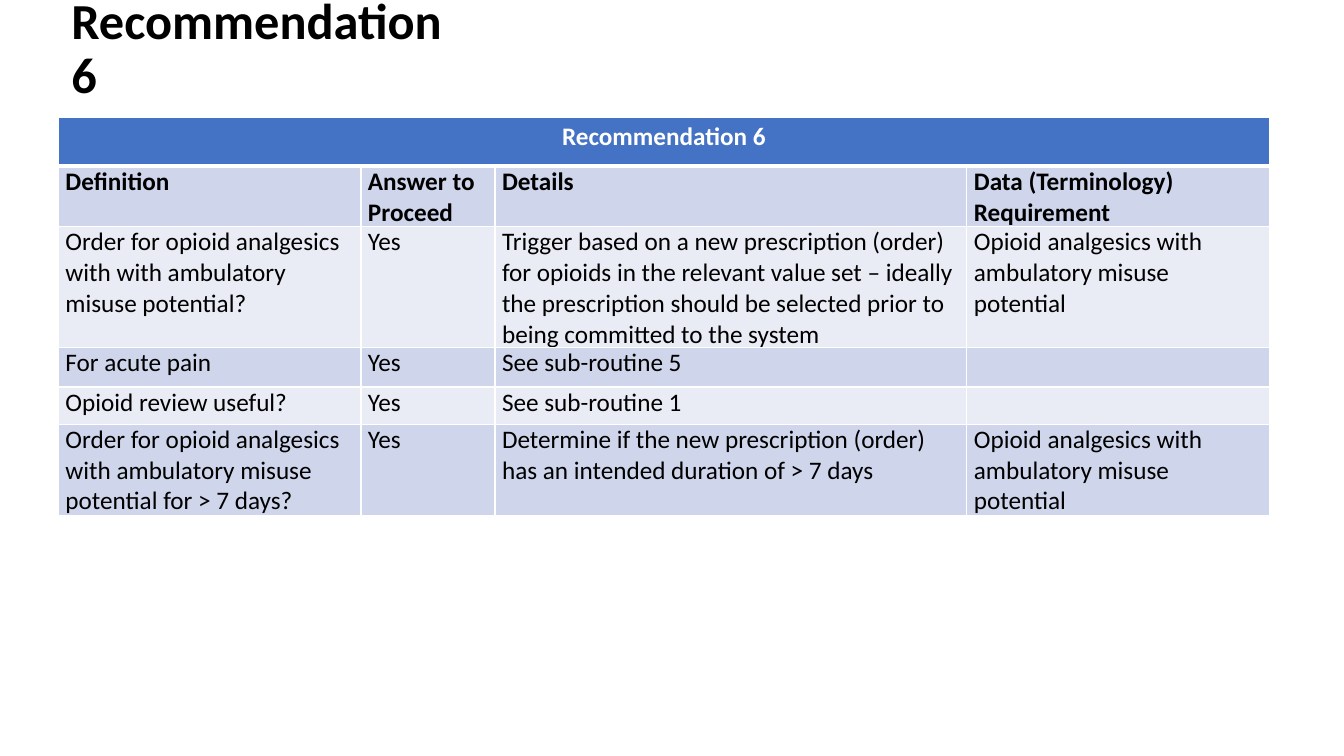
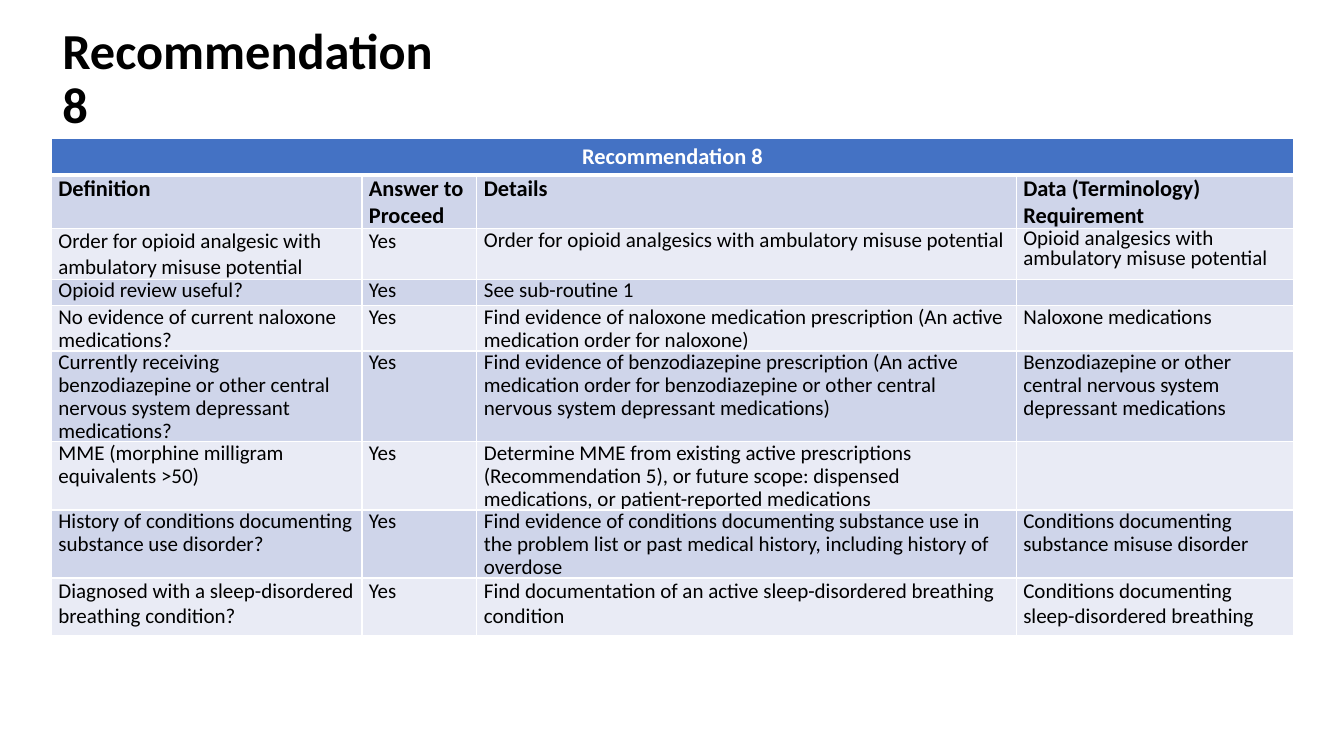
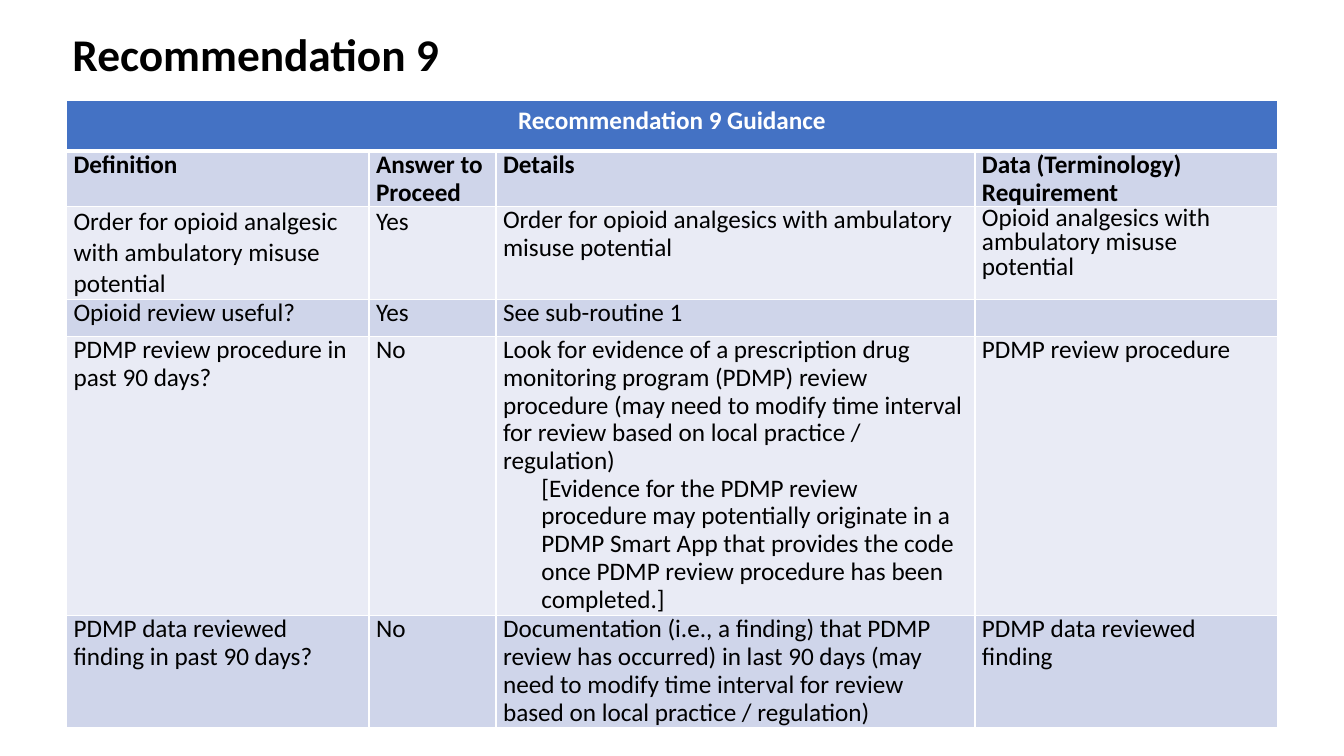
from dataclasses import dataclass

from lxml import etree
from pptx import Presentation
from pptx.dml.color import RGBColor
from pptx.enum.text import MSO_ANCHOR, PP_ALIGN
from pptx.oxml.ns import qn
from pptx.util import Inches, Pt

FONT = "Calibri"
BLACK = RGBColor(0x00, 0x00, 0x00)
WHITE = RGBColor(0xFF, 0xFF, 0xFF)
BLUE = RGBColor(0x44, 0x72, 0xC4)
BAND_DARK = RGBColor(0xCF, 0xD5, 0xEA)
BAND_LIGHT = RGBColor(0xE9, 0xEB, 0xF5)

HEADINGS = ("Definition", "Answer to Proceed", "Details",
            "Data (Terminology) Requirement")
SINGLE = (1, 1, 1, 1)
TIGHT = (0.9, 0.9, 0.9, 0.9)
MIXED = (1, 1, 0.9, 0.8)
NOTE_INDENT = Inches(0.38)

OPIOIDS = "Opioid analgesics with ambulatory misuse potential"
ORDER = "Order for opioid analgesic with ambulatory misuse potential"
ORDERS = "Order for opioid analgesics with ambulatory misuse potential"
REVIEW = ("Opioid review useful?", "Yes", "See sub-routine 1", "")


@dataclass
class Row:
    """One table row; a cell text may hold an indented note after a newline."""
    height: float
    texts: tuple
    spacing: tuple = TIGHT
    bold: bool = False


def style_paragraph(p, size, color=BLACK, bold=False, spacing=1):
    p.line_spacing = spacing
    p.font.name = FONT
    p.font.size = Pt(size)
    p.font.bold = bold
    p.font.color.rgb = color


def add_title(slide, text, left, top, width, height, size=36):
    tf = slide.shapes.add_textbox(Inches(left), Inches(top),
                                  Inches(width), Inches(height)).text_frame
    tf.word_wrap = True
    tf.vertical_anchor = MSO_ANCHOR.MIDDLE
    p = tf.paragraphs[0]
    p.text = text
    style_paragraph(p, size, bold=True, spacing=0.9)


def set_borders(cell, top=1, bottom=1):
    """Draw white cell borders; they must precede the fill in the XML."""
    tc_pr = cell._tc.get_or_add_tcPr()
    for side, width in (("L", 1), ("R", 1), ("T", top), ("B", bottom)):
        ln = etree.SubElement(tc_pr, qn(f"a:ln{side}"), w=str(Pt(width)))
        fill = etree.SubElement(ln, qn("a:solidFill"))
        etree.SubElement(fill, qn("a:srgbClr"), val=str(WHITE))


def set_fill(cell, color):
    cell.fill.solid()
    cell.fill.fore_color.rgb = color


def fill_banner(table, text, size):
    for cell in table.rows[0].cells:
        set_borders(cell, bottom=3)
        set_fill(cell, BLUE)
    banner = table.cell(0, 0)
    banner.merge(table.cell(0, len(HEADINGS) - 1))
    p = banner.text_frame.paragraphs[0]
    p.text = text
    p.alignment = PP_ALIGN.CENTER
    style_paragraph(p, size, WHITE, bold=True)


def fill_cell(cell, text, size, bold, spacing, band, top):
    set_borders(cell, top=top)
    set_fill(cell, band)
    cell.margin_left = cell.margin_right = Inches(0.07)
    cell.margin_top = cell.margin_bottom = 0
    cell.text = text
    for i, p in enumerate(cell.text_frame.paragraphs):
        if i:
            p._p.get_or_add_pPr().set("marL", str(NOTE_INDENT))
        style_paragraph(p, size, bold=bold, spacing=spacing)


def add_criteria_table(slide, left, top, widths, banner, banner_height,
                       rows, head_size=18, body_size=18):
    height = banner_height + sum(row.height for row in rows)
    table = slide.shapes.add_table(
        len(rows) + 1, len(widths), Inches(left), Inches(top),
        Inches(sum(widths)), Inches(height)).table
    for column, width in zip(table.columns, widths):
        column.width = Inches(width)
    table.rows[0].height = Inches(banner_height)
    fill_banner(table, banner, head_size)
    for i, row in enumerate(rows, start=1):
        table.rows[i].height = Inches(row.height)
        band = BAND_DARK if i % 2 else BAND_LIGHT
        size = head_size if row.bold else body_size
        for cell, text, spacing in zip(table.rows[i].cells, row.texts, row.spacing):
            fill_cell(cell, text, size, row.bold, spacing, band,
                      top=3 if i == 1 else 1)


def add_recommendation_6(slide):
    add_title(slide, "Recommendation 6", 0.61, 0.11, 4.2, 0.78)
    rows = [
        Row(0.28, HEADINGS, SINGLE, bold=True),
        Row(0.59, ("Order for opioid analgesics with with ambulatory misuse potential?",
                   "Yes",
                   "Trigger based on a new prescription (order) for opioids in the "
                   "relevant value set – ideally the prescription should be selected "
                   "prior to being committed to the system",
                   OPIOIDS), SINGLE),
        Row(0.39, ("For acute pain", "Yes", "See sub-routine 5", ""), SINGLE),
        Row(0.37, REVIEW, SINGLE),
        Row(0.83, ("Order for opioid analgesics with ambulatory misuse potential "
                   "for > 7 days?",
                   "Yes",
                   "Determine if the new prescription (order) has an intended "
                   "duration of > 7 days",
                   OPIOIDS), SINGLE),
    ]
    add_criteria_table(slide, 0.58, 1.16, (3, 1.33, 4.68, 3),
                       "Recommendation 6", 0.49, rows)


def add_recommendation_8(slide):
    add_title(slide, "Recommendation 8", 0.52, 0.4, 4.18, 0.79)
    rows = [
        Row(0.53, HEADINGS, SINGLE, bold=True),
        Row(0.5, (ORDER, "Yes", ORDERS, OPIOIDS), MIXED),
        Row(0.26, REVIEW),
        Row(0.45, ("No evidence of current naloxone medications?", "Yes",
                   "Find evidence of naloxone medication prescription (An active "
                   "medication order for naloxone)",
                   "Naloxone medications")),
        Row(0.89, ("Currently receiving benzodiazepine or other central nervous "
                   "system depressant medications?",
                   "Yes",
                   "Find evidence of benzodiazepine prescription (An active "
                   "medication order for benzodiazepine or other central nervous "
                   "system depressant medications)",
                   "Benzodiazepine or other central nervous system depressant "
                   "medications")),
        Row(0.67, ("MME (morphine milligram equivalents >50)", "Yes",
                   "Determine MME from existing active prescriptions "
                   "(Recommendation 5), or future scope: dispensed medications, "
                   "or patient-reported medications",
                   "")),
        Row(0.57, ("History of conditions documenting substance use disorder?",
                   "Yes",
                   "Find evidence of conditions documenting substance use in the "
                   "problem list or past medical history, including history of "
                   "overdose",
                   "Conditions documenting substance misuse disorder")),
        Row(0.57, ("Diagnosed with a sleep-disordered breathing condition?", "Yes",
                   "Find documentation of an active sleep-disordered breathing "
                   "condition",
                   "Conditions documenting sleep-disordered breathing"), SINGLE),
    ]
    add_criteria_table(slide, 0.51, 1.37, (3.08, 1.14, 5.35, 2.75),
                       "Recommendation 8", 0.36, rows, head_size=16, body_size=15)


def add_recommendation_9(slide):
    add_title(slide, "Recommendation 9", 0.62, 0.26, 4.15, 0.6, size=32.4)
    rows = [
        Row(0.55, HEADINGS, bold=True),
        Row(0.92, (ORDER, "Yes", ORDERS, OPIOIDS), MIXED),
        Row(0.37, REVIEW),
        Row(2.77, ("PDMP review procedure in past 90 days?", "No",
                   "Look for evidence of a prescription drug monitoring program "
                   "(PDMP) review procedure (may need to modify time interval for "
                   "review based on local practice / regulation)\n"
                   "[Evidence for the PDMP review procedure may potentially "
                   "originate in a PDMP Smart App that provides the code once PDMP "
                   "review procedure has been completed.]",
                   "PDMP review procedure")),
        Row(1.11, ("PDMP data reviewed finding in past 90 days?", "No",
                   "Documentation (i.e., a finding) that PDMP review has occurred) "
                   "in last 90 days (may need to modify time interval for review "
                   "based on local practice / regulation)",
                   "PDMP data reviewed finding")),
    ]
    add_criteria_table(slide, 0.66, 1, (3, 1.26, 4.75, 3),
                       "Recommendation 9 Guidance", 0.5, rows)


def main():
    prs = Presentation()
    prs.slide_width, prs.slide_height = Inches(13.33), Inches(7.5)
    blank = prs.slide_layouts[6]
    for build in (add_recommendation_6, add_recommendation_8, add_recommendation_9):
        build(prs.slides.add_slide(blank))
    prs.save("out.pptx")


if __name__ == "__main__":
    main()
